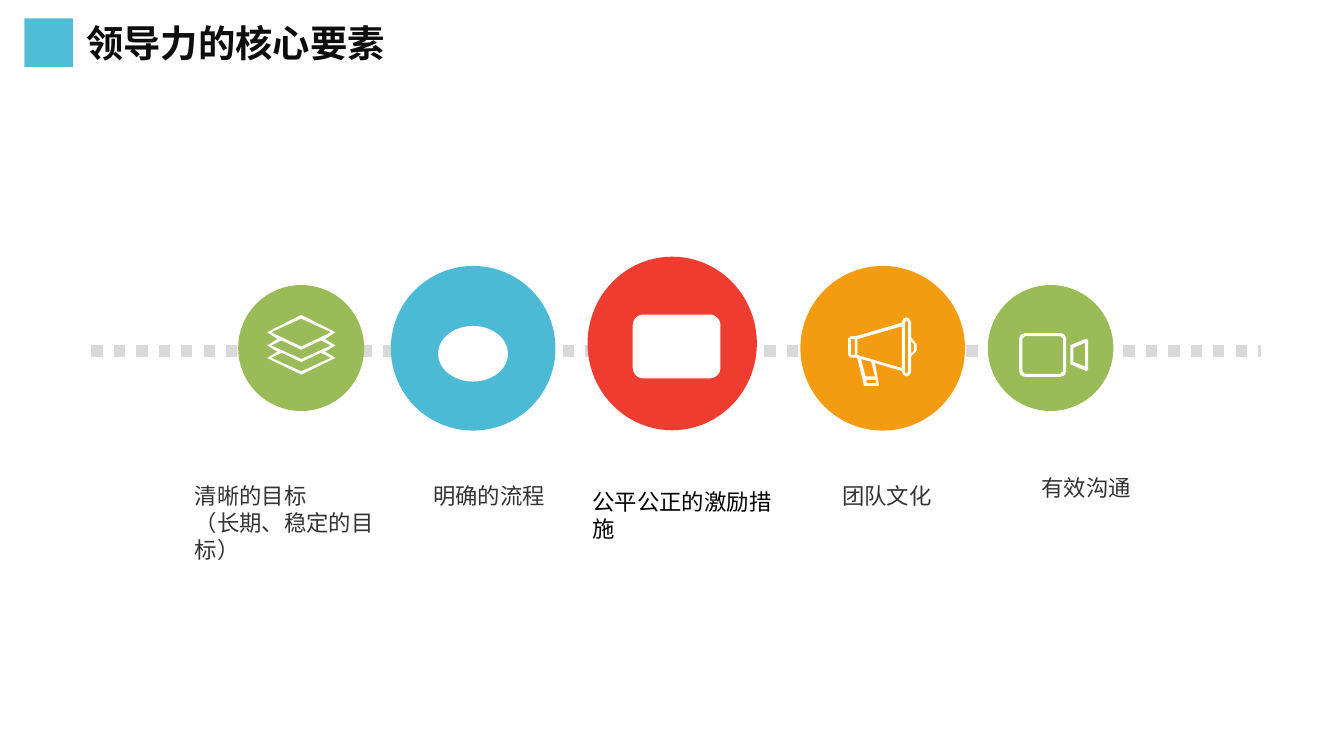
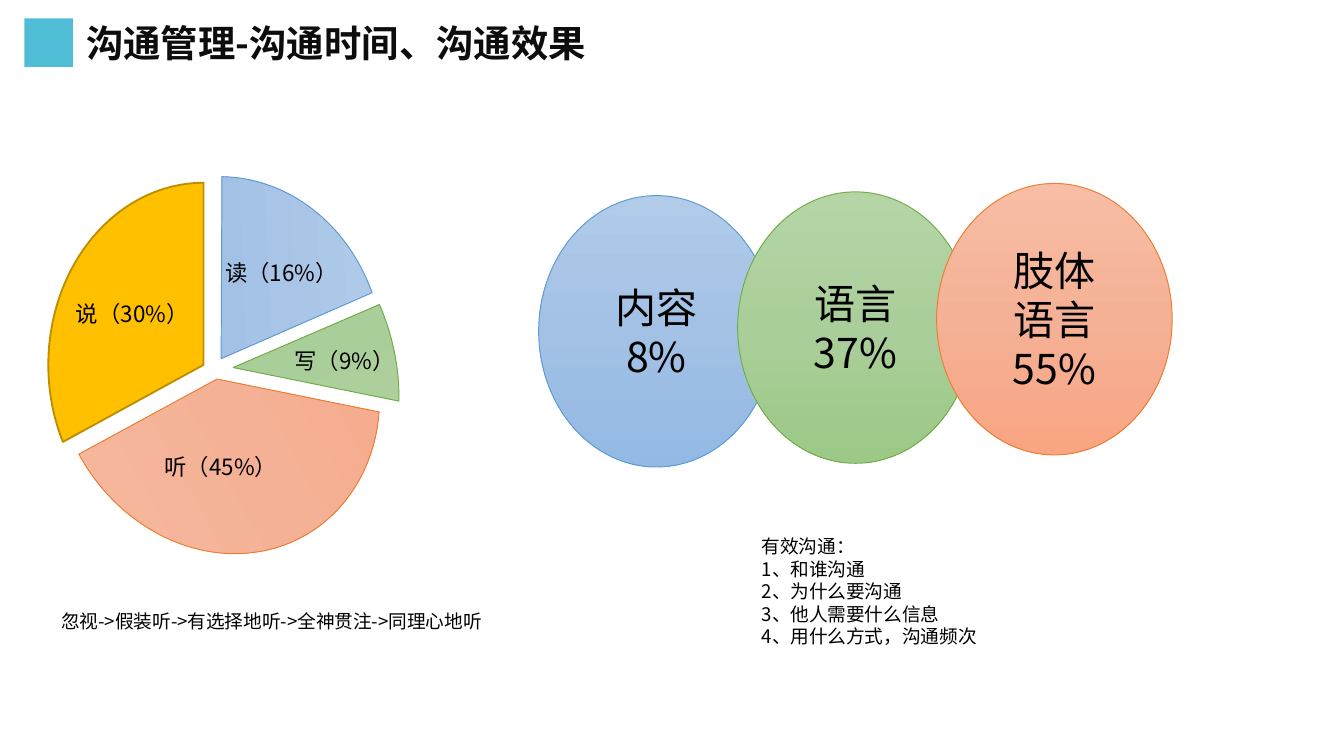
from copy import deepcopy

from lxml.etree import SubElement
from pptx import Presentation
from pptx.dml.color import RGBColor
from pptx.enum.dml import MSO_LINE
from pptx.enum.shapes import MSO_CONNECTOR, MSO_SHAPE as SHAPE
from pptx.enum.text import MSO_ANCHOR as ANCHOR, MSO_AUTO_SIZE as FIT, PP_ALIGN as ALIGN
from pptx.oxml.ns import qn
from pptx.util import Pt

FONT = "Noto Sans CJK SC"
COLORS = {
    "accent": "06A1C6", "title": "0D0D0D", "label": "333333", "black": "000000",
    "white": "FFFFFF", "dots": "D9D9D9", "green": "9BBB59", "blue": "4CBAD5",
    "red": "EE3C30", "orange": "F39C12", "gold": "FFC000", "gold_line": "BD8E00",
    "blue_line": "5B9BD5", "green_line": "70AD47", "coral_line": "ED7D31",
}
GRADIENTS = {
    "blue": ("B1CBE9", "A3C1E5", "93B9E4"),
    "green": ("B5D5A7", "AACE9A", "9CC987"),
    "coral": ("F7BDA5", "F5B196", "F8A582"),
}

# Icon contours in points from the icon's top left; inner contours are holes.
LAYERS = [
    [(18.3, 0), (36.6, 9.3), (31, 13), (36.6, 16.4), (31, 19.7), (36.6, 23.1), (18.3, 32),
     (0, 23.1), (5.6, 19.7), (0, 16.4), (5.6, 13), (0, 9.3)],
    [(2.2, 9.3), (18.3, 2), (34.3, 9.3), (18.3, 17)],
] + [
    [(18.3, 23.6 + dy), (2.2, 16.4 + dy), (7.8, 13.7 + dy), (18.3, 18.7 + dy),
     (28.7, 13.7 + dy), (34.3, 16.4 + dy)]
    for dy in (0, 6.6)
]
MEGAPHONE = [
    [(33.8, 10.8), (33.8, 2.9), (32.8, 0.7), (31.3, 0), (29.6, 0.7), (28.8, 2.9),
     (4.3, 10.1), (1.4, 10.1), (0, 11.5), (0, 20.2), (1.4, 21.6), (4.3, 21.6), (5, 22),
     (8.6, 36.7), (16.2, 36.7), (16.6, 36), (14.4, 24.5), (28.8, 28.8), (29.6, 30.8),
     (31.3, 31.7), (32.8, 31), (33.8, 29.5), (33.8, 20.9), (36.7, 18), (36.7, 14.4)],
    [(35.2, 18), (33.8, 19.4), (33.8, 12.6), (35.2, 14.4)],
    [(32.2, 29.5), (31.3, 30.2), (30.4, 29.5), (30.4, 2.9), (31.3, 1.6), (32.2, 2.9)],
    [(28.8, 27.2), (5, 20.2), (5, 11.7), (28.8, 4.8)],
    [(14.4, 31.7), (9.4, 31.7), (7, 22.4), (12.4, 23.8)],
    [(15.1, 35.2), (10.1, 35.2), (9.7, 33.5), (14.8, 33.5)],
    [(3.6, 20.2), (1.5, 20.2), (1.5, 11.7), (3.6, 11.7)],
]
CAMERA = [
    [(3, 0), (22.2, 0), (24.4, 0.9), (25.2, 2.9), (25.2, 20.5), (24.4, 22.5), (22.2, 23.4),
     (3, 23.4), (0.8, 22.5), (0, 20.5), (0, 2.9), (0.8, 0.9)],
    [(3.2, 1.6), (22, 1.6), (23.5, 3), (23.5, 20.4), (22, 21.8), (3.2, 21.8), (1.7, 20.4),
     (1.7, 3)],
    [(36, 2.9), (36.9, 3.6), (36.9, 19.6), (36, 20.3), (27.4, 16.7), (27.4, 6.5)],
    [(35.3, 18), (29, 15.3), (29, 7.9), (35.3, 5.2)],
]


def rgb(name):
    return RGBColor.from_string(COLORS[name])


def add_shape(slide, kind, box, fill, line=None, width=0.5):
    sp = slide.shapes.add_shape(kind, *map(Pt, box))
    return paint(sp, fill, line, width)


def paint(sp, fill, line=None, width=0.5):
    """Fill with a colour name or a triple of gradient stops."""
    sp.shadow.inherit = False
    if isinstance(fill, tuple):
        sp.fill.gradient()
        sp.fill.gradient_angle = 270
        stops = sp._element.spPr.find(".//" + qn("a:gsLst"))
        stops.insert(1, deepcopy(stops[0]))
        for stop, pos, color in zip(sp.fill.gradient_stops, (0, 0.5, 1), fill):
            stop.position = pos
            stop.color.rgb = RGBColor.from_string(color)
    else:
        sp.fill.solid()
        sp.fill.fore_color.rgb = rgb(fill)
    if line:
        sp.line.color.rgb = rgb(line)
        sp.line.width = Pt(width)
    else:
        sp.line.fill.background()
    return sp


def write(sp, lines, size, color="black", align=ALIGN.LEFT, font=FONT, bold=False):
    tf = sp.text_frame
    for i, line in enumerate(lines):
        p = tf.add_paragraph() if i else tf.paragraphs[0]
        p.text = line
        p.alignment = align
        p.font.size = Pt(size)
        p.font.bold = bold
        p.font.color.rgb = rgb(color)
        p.font.name = font
        SubElement(p._p.pPr.find(qn("a:defRPr")), qn("a:ea"), typeface=font)


def add_text(slide, box, lines, size, wrap=True, grow=False, **style):
    """Growing boxes start at the top; fixed ones are centred vertically."""
    sp = slide.shapes.add_textbox(*map(Pt, box))
    tf = sp.text_frame
    tf.word_wrap = wrap
    tf.auto_size = FIT.SHAPE_TO_FIT_TEXT if grow else FIT.NONE
    tf.vertical_anchor = ANCHOR.TOP if grow else ANCHOR.MIDDLE
    write(sp, lines, size, **style)


def add_dotted_line(slide, x1, x2, y):
    line = slide.shapes.add_connector(MSO_CONNECTOR.STRAIGHT, Pt(x1), Pt(y), Pt(x2), Pt(y))
    line.line.color.rgb = rgb("dots")
    line.line.width = Pt(6)
    line.line.dash_style = MSO_LINE.ROUND_DOT
    SubElement(line._element.spPr, qn("a:effectLst"))


def add_icon(slide, left, top, contours):
    builder = None
    for contour in contours:
        points = [(Pt(left + x), Pt(top + y)) for x, y in contour]
        if builder is None:
            builder = slide.shapes.build_freeform(*points[0])
        else:
            builder.move_to(*points[0])
        builder.add_line_segments(points[1:], close=True)
    paint(builder.convert_to_shape(), "white")


def add_slice(slide, box, angles, rotation, fill, line, width=0.5):
    """Angles are start and end in degrees, clockwise from the right."""
    sp = add_shape(slide, SHAPE.PIE, box, fill, line, width)
    for i, angle in enumerate(angles):
        sp.adjustments[i] = angle * 0.6
    sp.rotation = rotation


def add_titled_slide(prs, title):
    slide = prs.slides.add_slide(prs.slide_layouts[6])
    square = add_shape(slide, SHAPE.RECTANGLE, (13, 9.8, 26, 26), "accent")
    color = square._element.spPr.find(".//" + qn("a:srgbClr"))
    SubElement(color, qn("a:alpha"), val="70000")
    add_text(slide, (39, 7.2, 663, 31.5), [title], 20, grow=True, color="title", bold=True)
    return slide


def build_elements(prs):
    slide = add_titled_slide(prs, "领导力的核心要素")
    add_dotted_line(slide, 49, 675.4, 188)
    for box, color in [
        ((529.2, 152.7, 67.3, 67.5), "green"),
        ((428.8, 142.5, 88.2, 88.2), "orange"),
        ((314.8, 137.5, 90.7, 93), "red"),
        ((209.4, 142.5, 88.2, 88.2), "blue"),
        ((127.6, 152.7, 67.5, 67.5), "green"),
    ]:
        add_shape(slide, SHAPE.OVAL, box, color)

    add_icon(slide, 143.1, 168.7, LAYERS)
    add_shape(slide, SHAPE.OVAL, (234.7, 174.6, 37.4, 29.8), "white")
    add_shape(slide, SHAPE.ROUNDED_RECTANGLE, (339, 168.5, 47, 34.2), "white")
    add_icon(slide, 454.3, 170, MEGAPHONE)
    add_icon(slide, 546, 178.5, CAMERA)

    for box, lines, wrap, style in [
        ((97.2, 254.9, 111.6, 51), ["清晰的目标", "（长期、稳定的目标）"], True, {}),
        ((224.9, 254.5, 74.4, 21.8), ["明确的流程"], False, {}),
        ((310.3, 257.8, 112.3, 36), ["公平公正的激励措施"], True,
         {"color": "black", "font": "Calibri"}),
        ((444, 254.5, 63.4, 21.8), ["团队文化"], False, {}),
        ((550.2, 250.3, 63.4, 21.8), ["有效沟通"], False, {"align": ALIGN.CENTER}),
    ]:
        add_text(slide, box, lines, 12, wrap, grow=True, **{"color": "label", **style})


def build_communication(prs):
    slide = add_titled_slide(prs, "沟通管理-沟通时间、沟通效果")
    for i, (top, hue, lines) in enumerate([
        (104.8, "blue", ["内容", "8%"]),
        (102.8, "green", ["语言", "37%"]),
        (98.3, "coral", ["肢体", "语言", "55%"]),
    ]):
        box = (288.6 + 106.6 * i, top, 126.2, 145.4)
        sp = add_shape(slide, SHAPE.OVAL, box, GRADIENTS[hue], hue + "_line")
        sp.text_frame.vertical_anchor = ANCHOR.MIDDLE
        write(sp, lines, 22, align=ALIGN.CENTER)

    add_slice(slide, (39.6, 91.4, 170.6, 211), (180.09, 214.84), 156.6,
              GRADIENTS["green"], "green_line")
    add_slice(slide, (25.9, 97.9, 166.3, 195.1), (151.27, 270), 0, "gold", "gold_line", 1)
    add_slice(slide, (20.9, 105.1, 195.1, 174.2), (182.77, 248.89), 87.5,
              GRADIENTS["blue"], "blue_line")
    add_slice(slide, (20.2, 118.8, 192.2, 168.5), (129.98, 270), 241.5,
              GRADIENTS["coral"], "coral_line")

    for left, top, label in [
        (32.4, 156.2, "说（30%）"),
        (112.3, 133.9, "读（16%）"),
        (146.2, 181.4, "写（9%）"),
        (79.9, 238.3, "听（45%）"),
    ]:
        add_text(slide, (left, top, 77, 23.8), [label], 12, align=ALIGN.CENTER)

    add_text(slide, (17.3, 316.1, 256.3, 33.1),
             ["忽视->假装听->有选择地听->全神贯注->同理心地听"], 10, align=ALIGN.CENTER)
    add_text(slide, (401, 300.2, 256.3, 33.1),
             ["有效沟通：", "1、和谁沟通", "2、为什么要沟通", "3、他人需要什么信息",
              "4、用什么方式，沟通频次"], 10)


def main():
    prs = Presentation()
    prs.slide_width, prs.slide_height = Pt(720), Pt(405)
    build_elements(prs)
    build_communication(prs)
    prs.save("out.pptx")


if __name__ == "__main__":
    main()
